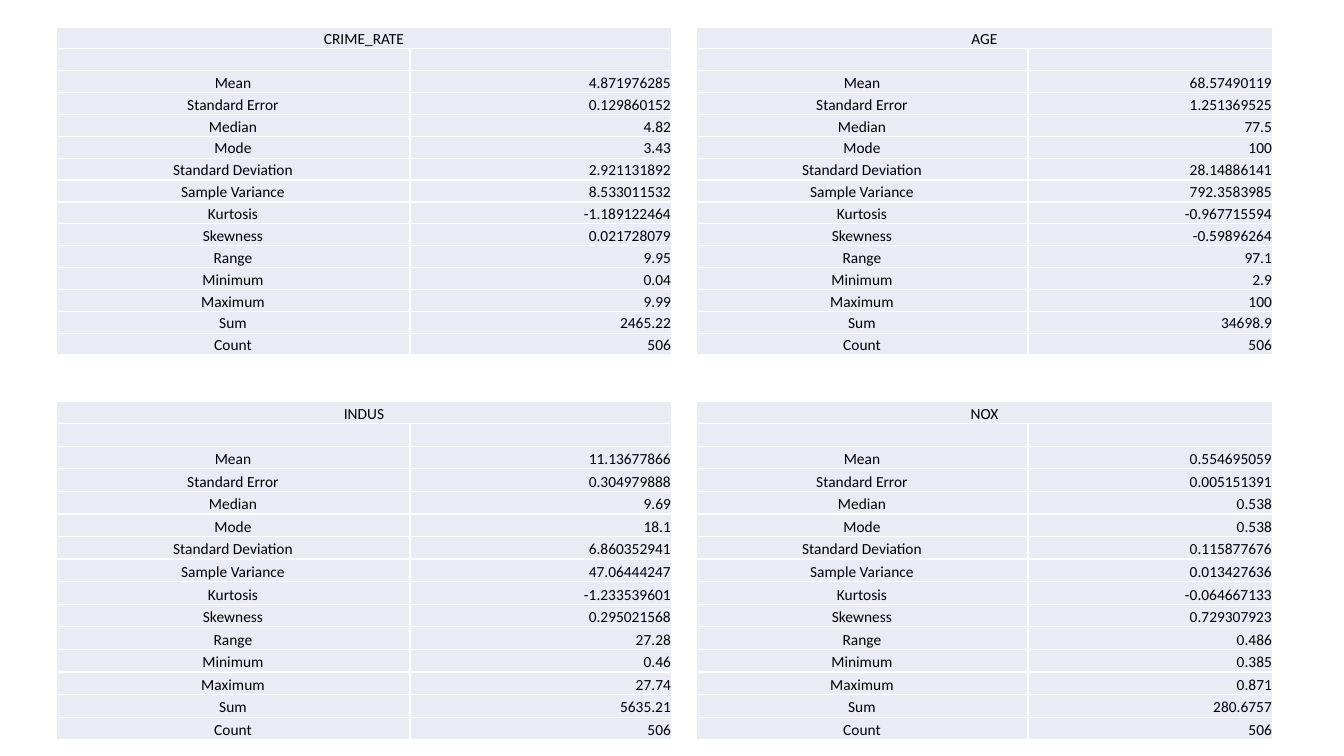
import pptx
import pptx.util
import pptx.dml.color
import pptx.enum.text
import pptx.oxml
import pptx.oxml.ns

EMU_PER_PX = 914400 / 100.8
COLORS = {"cell": "E9EBF5", "grid": "FFFFFF", "text": "000000"}
ALIGN = pptx.enum.text.PP_ALIGN

STATISTICS = ["Mean", "Standard Error", "Median", "Mode", "Standard Deviation",
              "Sample Variance", "Kurtosis", "Skewness", "Range", "Minimum",
              "Maximum", "Sum", "Count"]
CRIME_RATE = ["4.871976285", "0.129860152", "4.82", "3.43", "2.921131892",
              "8.533011532", "-1.189122464", "0.021728079", "9.95", "0.04",
              "9.99", "2465.22", "506"]
AGE = ["68.57490119", "1.251369525", "77.5", "100", "28.14886141",
       "792.3583985", "-0.967715594", "-0.59896264", "97.1", "2.9",
       "100", "34698.9", "506"]
INDUS = ["11.13677866", "0.304979888", "9.69", "18.1", "6.860352941",
         "47.06444247", "-1.233539601", "0.295021568", "27.28", "0.46",
         "27.74", "5635.21", "506"]
NOX = ["0.554695059", "0.005151391", "0.538", "0.538", "0.115877676",
       "0.013427636", "-0.064667133", "0.729307923", "0.486", "0.385",
       "0.871", "280.6757", "506"]


def px(n):
    return pptx.util.Emu(round(n * EMU_PER_PX))


def rgb(name):
    return pptx.dml.color.RGBColor.from_string(COLORS[name])


def add_borders(cell):
    tcPr = cell._tc.get_or_add_tcPr()
    for i, side in enumerate(("lnL", "lnR", "lnT", "lnB")):
        tcPr.insert(i, pptx.oxml.parse_xml(
            f'<a:{side} {pptx.oxml.ns.nsdecls("a")} w="12700"><a:solidFill>'
            f'<a:srgbClr val="{COLORS["grid"]}"/></a:solidFill></a:{side}>'))


def style_cell(cell, text, align):
    cell.fill.solid()
    cell.fill.fore_color.rgb = rgb("cell")
    add_borders(cell)
    cell.margin_left = cell.margin_right = cell.margin_top = px(1)
    cell.margin_bottom = 0
    cell.vertical_anchor = pptx.enum.text.MSO_ANCHOR.BOTTOM
    p = cell.text_frame.paragraphs[0]
    p.alignment = align
    p.font.size = pptx.util.Pt(11)
    p.font.name = "Calibri"
    p.font.color.rgb = rgb("text")
    if text:
        p.add_run().text = text


def add_statistics_table(s, box, label_width, title, values):
    x, y, w, h = box
    rows = [(title, ""), ("", ""), *zip(STATISTICS, values)]
    table = s.shapes.add_table(len(rows), 2, px(x), px(y), px(w), px(h)).table
    table.first_row = table.horz_banding = False
    table.columns[0].width = px(label_width)
    table.columns[1].width = px(w - label_width)
    for i, (label, value) in enumerate(rows):
        table.rows[i].height = px(h / len(rows))
        style_cell(table.cell(i, 0), label, ALIGN.CENTER)
        style_cell(table.cell(i, 1), value, ALIGN.RIGHT)
    # Title spans both columns
    table.cell(0, 0).merge(table.cell(0, 1))


prs = pptx.Presentation()
prs.slide_width, prs.slide_height = px(1344), px(756)
s = prs.slides.add_slide(prs.slide_layouts[6])

# Two by two grid of summary tables: (left, width, label width), (top, height)
columns = [(56, 616, 354), (696, 577, 332)]
bands = [(27, 328), (401, 339)]
variables = [[("CRIME_RATE", CRIME_RATE), ("AGE", AGE)],
             [("INDUS", INDUS), ("NOX", NOX)]]
for (top, height), band in zip(bands, variables):
    for (left, width, label_width), (title, values) in zip(columns, band):
        add_statistics_table(s, (left, top, width, height), label_width, title, values)

prs.save("out.pptx")
